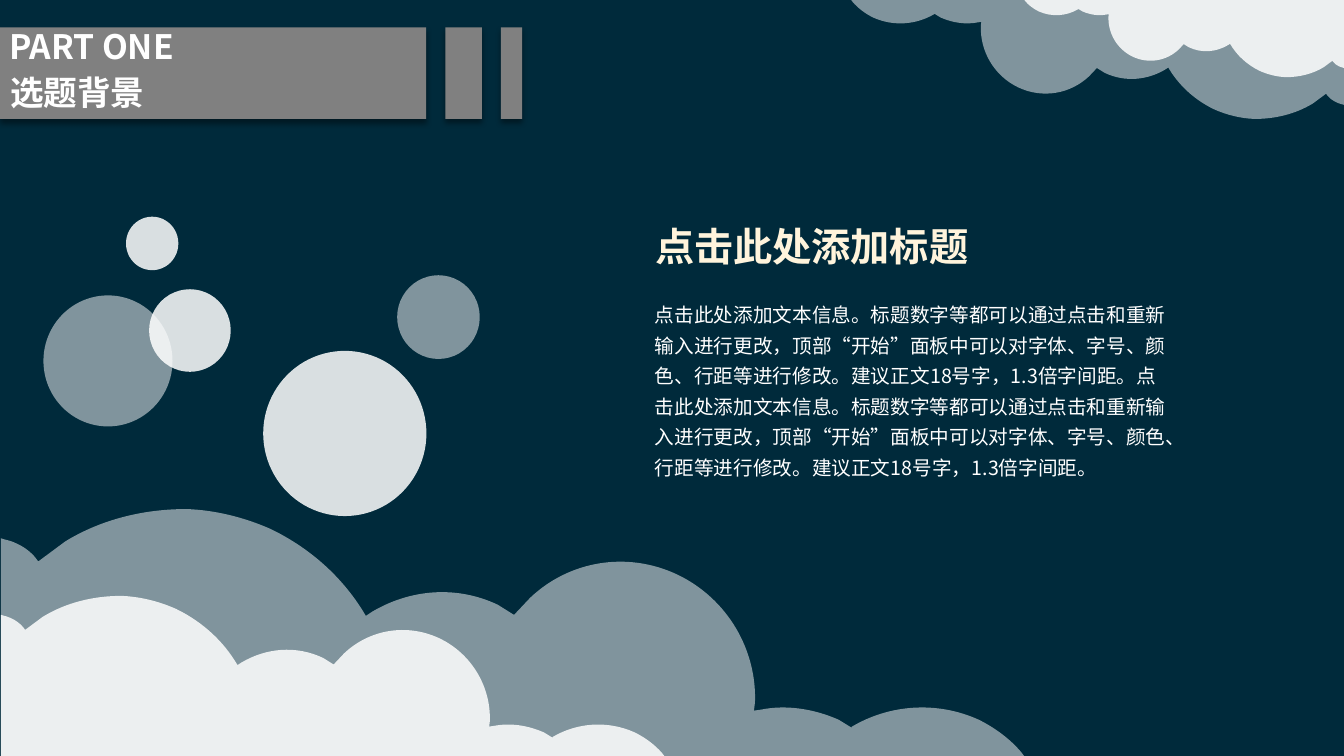
from pptx import Presentation
from pptx.dml.color import RGBColor
from pptx.enum.shapes import MSO_SHAPE as Shape
from pptx.enum.text import MSO_ANCHOR as Anchor, MSO_AUTO_SIZE as Fit, PP_ALIGN as Align
from pptx.oxml.ns import qn
from pptx.util import Pt
from lxml.etree import SubElement as Sub

WIDTH, HEIGHT = 960, 540
FONT = "Noto Sans CJK SC"
WHITE = "FFFFFF"
NOTE = ("点击此处添加文本信息。标题数字等都可以通过点击和重新输入进行更改，"
        "顶部“开始”面板中可以对字体、字号、颜色、行距等进行修改。"
        "建议正文18号字，1.3倍字间距。")

# One cloud bank on a 1015 x 245 grid: two numbers make a line, six a curve.
START = (184, 0)
GRID = (1015, 245)
CLOUD = [
    (212, 1, 241, 8, 268, 20), (309, 40, 341, 70, 362, 106), (368, 102),
    (405, 80, 451, 75, 493, 95), (509, 105), (525, 88),
    (563, 52, 620, 41, 671, 65), (721, 89, 750, 140, 748, 192),
    (747, 200), (754, 199), (779, 194, 806, 198, 831, 209),
    (844, 217), (844, 216), (881, 194, 928, 190, 970, 209),
    (986, 217, 1001, 228, 1012, 241), (1015, 245), (0, 245), (0, 29), (3, 30),
    (7, 31, 11, 32, 15, 34), (22, 37, 29, 42, 34, 48), (37, 52), (64, 32),
    (100, 10, 142, 0, 184, 0),
]


def rgb(code):
    return RGBColor.from_string(code)


def paint(shape, code, alpha=100):
    """Fill without outline or shadow; alpha is in percent."""
    shape.shadow.inherit = False
    shape.fill.solid()
    shape.fill.fore_color.rgb = rgb(code)
    shape.line.fill.background()
    if alpha < 100:
        tint = shape.element.spPr.find(qn("a:solidFill"))[0]
        Sub(tint, qn("a:alpha"), val=str(alpha * 1000))


def add_bar(slide, left, width):
    bar = slide.shapes.add_shape(Shape.RECTANGLE, Pt(left), Pt(19.5), Pt(width), Pt(65.5))
    paint(bar, "808080")
    effect = bar.element.spPr.find(qn("a:effectLst"))
    shade = Sub(effect, qn("a:outerShdw"), blurRad=str(Pt(4)), dist=str(Pt(3)),
                dir="5400000", algn="t", rotWithShape="0")
    tint = Sub(shade, qn("a:srgbClr"), val="000000")
    Sub(tint, qn("a:alpha"), val="40000")


def add_disc(slide, left, top, width, height, alpha):
    disc = slide.shapes.add_shape(Shape.OVAL, Pt(left), Pt(top), Pt(width), Pt(height))
    paint(disc, WHITE, alpha)


def add_cloud(slide, width, alpha, turned=False):
    """Cloud bank at the bottom left, or turned round at the top right."""
    build = slide.shapes.build_freeform(*START, scale=Pt(0.72))
    for step in CLOUD:
        build.add_line_segments(list(zip(step[::2], step[1::2])), close=False)
    build.add_line_segments([], close=True)
    cloud = build.convert_to_shape()
    height = width * GRID[1] / GRID[0]
    cloud.width, cloud.height = Pt(width), Pt(height)
    cloud.left = Pt(WIDTH - width if turned else 0.7)
    cloud.top = Pt(0 if turned else HEIGHT - height)
    cloud.rotation = 180 if turned else 0
    bend(cloud)
    paint(cloud, WHITE, alpha)


def bend(cloud):
    """Join the three points of every six-number step into one curve."""
    lines = iter(list(cloud.element.iter(qn("a:lnTo"))))
    for step in CLOUD:
        first = next(lines)
        if len(step) == 6:
            first.tag = qn("a:cubicBezTo")
            for _ in range(2):
                line = next(lines)
                first.append(line[0])
                line.getparent().remove(line)


def write(shape, text, size, code=WHITE, bold=False, space=1.0, before=0):
    frame = shape.text_frame
    frame.text = text
    frame.word_wrap = True
    para = frame.paragraphs[0]
    para.alignment = Align.LEFT
    para.line_spacing = space
    para.space_before = Pt(before)
    font = para.runs[0].font
    font.name, font.size, font.bold = FONT, Pt(size), bold
    font.color.rgb = rgb(code)
    Sub(para.runs[0].font._element, qn("a:ea"), typeface=FONT)


def set_head(holder, text, left, top, width, height):
    """Place a placeholder in front of the bars and fill it."""
    holder.left, holder.top = Pt(left), Pt(top)
    holder.width, holder.height = Pt(width), Pt(height)
    holder.element.getparent().append(holder.element)
    write(holder, text, 24, bold=True, space=0.8, before=10)
    holder.text_frame.vertical_anchor = Anchor.MIDDLE
    holder.text_frame.auto_size = Fit.NONE


def add_text(slide, left, top, width, height, text, size, **style):
    box = slide.shapes.add_textbox(Pt(left), Pt(top), Pt(width), Pt(height))
    write(box, text, size, **style)
    box.text_frame.auto_size = Fit.SHAPE_TO_FIT_TEXT


def main():
    deck = Presentation()
    deck.slide_width, deck.slide_height = Pt(WIDTH), Pt(HEIGHT)
    slide = deck.slides.add_slide(deck.slide_layouts[2])
    slide.background.fill.solid()
    slide.background.fill.fore_color.rgb = rgb("002A3B")

    for left, width in [(0, 304.5), (318.2, 26), (357.8, 15.2)]:
        add_bar(slide, left, width)
    add_cloud(slide, 352, 50, turned=True)
    add_cloud(slide, 228.3, 85, turned=True)

    set_head(slide.placeholders[1], "PART ONE", -0.7, 19.5, 305, 32.4)
    set_head(slide.shapes.title, "选题背景", 0, 51.8, 304.5, 33.1)
    add_text(slide, 460.8, 155.5, 315.4, 41, "点击此处添加标题", 28,
             code="FFF4DC", bold=True)
    add_text(slide, 460.8, 208, 379.4, 139.7, NOTE * 2, 14, space=1.3)

    add_cloud(slide, 730.8, 50)
    add_cloud(slide, 473.8, 85)
    for disc in [(31, 211, 92.2, 93.6, 50), (188, 250.6, 116.6, 118, 85),
                 (106.5, 206.6, 58.3, 59, 85), (90, 154.8, 37.4, 38.2, 85),
                 (283.7, 196.6, 59, 59.8, 50)]:
        add_disc(slide, *disc)
    deck.save("out.pptx")


if __name__ == "__main__":
    main()
